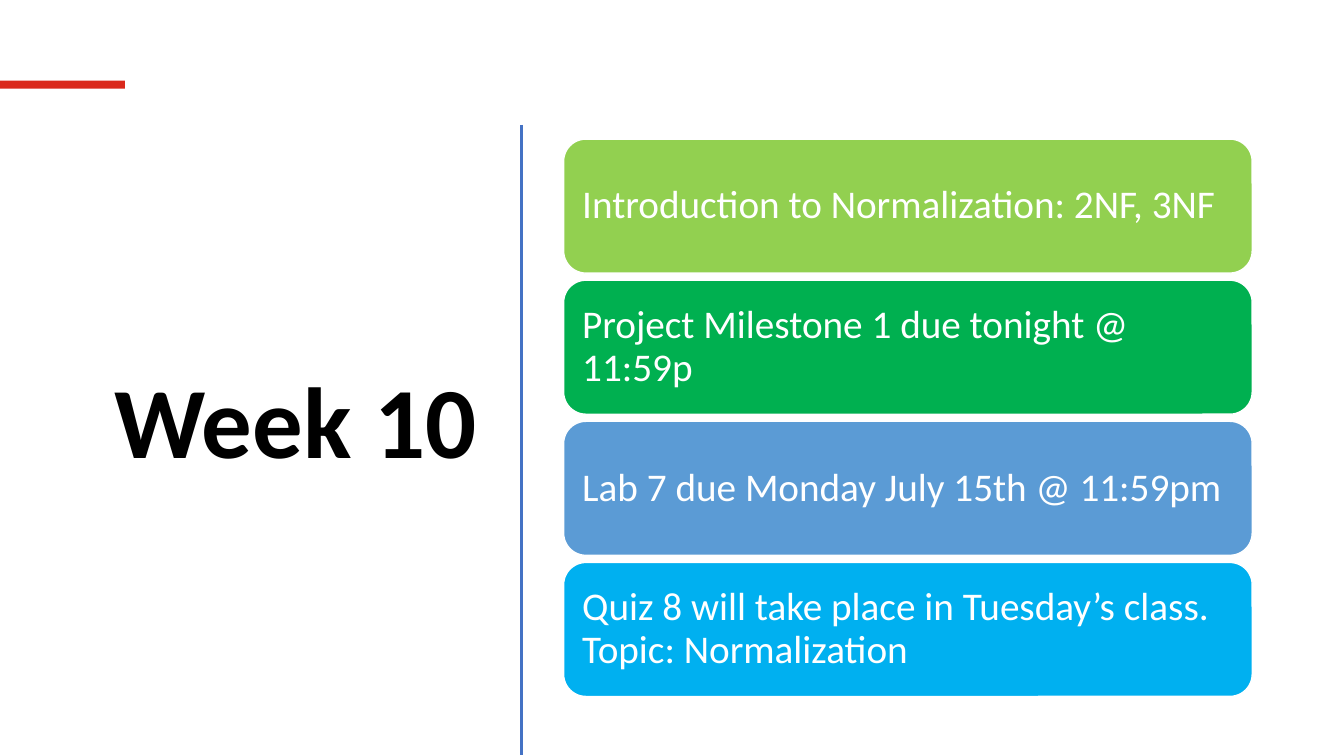
from lxml import etree
from pptx import Presentation
from pptx.dml.color import RGBColor
from pptx.enum.shapes import MSO_CONNECTOR, MSO_SHAPE
from pptx.enum.text import MSO_ANCHOR, MSO_AUTO_SIZE, PP_ALIGN
from pptx.oxml.ns import qn
from pptx.util import Inches, Pt

STRAIGHT = MSO_CONNECTOR.STRAIGHT
RECTANGLE, ROUNDED = MSO_SHAPE.RECTANGLE, MSO_SHAPE.ROUNDED_RECTANGLE
MIDDLE, NO_FIT = MSO_ANCHOR.MIDDLE, MSO_AUTO_SIZE.NONE
LEFT, RIGHT = PP_ALIGN.LEFT, PP_ALIGN.RIGHT

BLACK = RGBColor(0x00, 0x00, 0x00)
WHITE = RGBColor(0xFF, 0xFF, 0xFF)
RED = RGBColor(0xDA, 0x29, 0x1C)
RULE_BLUE = RGBColor(0x44, 0x72, 0xC4)
LIME = RGBColor(0x92, 0xD0, 0x50)
GREEN = RGBColor(0x00, 0xB0, 0x50)
BLUE = RGBColor(0x5B, 0x9B, 0xD5)
SKY = RGBColor(0x00, 0xB0, 0xF0)

AGENDA = [
    ("Introduction to Normalization: 2NF, 3NF", LIME),
    ("Project Milestone 1 due tonight @ 11:59p", GREEN),
    ("Lab 7 due Monday July 15th @ 11:59pm", BLUE),
    ("Quiz 8 will take place in Tuesday’s class. Topic: Normalization", SKY),
]
AGENDA_TOP, AGENDA_STEP = 1.38, 1.4


def add_box(preset, left, top, width, height, color):
    box = page.shapes.add_shape(
        preset, Inches(left), Inches(top), Inches(width), Inches(height))
    box.shadow.inherit = False
    box.fill.solid()
    box.fill.fore_color.rgb = color
    box.line.fill.background()
    return box


def write(frame, text, size, color, align):
    frame.word_wrap = True
    frame.auto_size = NO_FIT
    frame.vertical_anchor = MIDDLE
    frame.text = text
    para = frame.paragraphs[0]
    para.alignment = align
    para.line_spacing = 0.9
    para.font.name = "Calibri"
    para.font.size = Pt(size)
    para.font.color.rgb = color
    return para


deck = Presentation()
deck.slide_width = Inches(13.33)
deck.slide_height = Inches(7.5)
page = deck.slides.add_slide(deck.slide_layouts[5])

title = page.shapes.title
title.left, title.top = Inches(0.52), Inches(1.17)
title.width, title.height = Inches(4.31), Inches(6.11)
heading = write(title.text_frame, "Week 10", 72, BLACK, RIGHT)
heading.font.bold = True
heading.space_after = Pt(6)

divider = page.shapes.add_connector(
    STRAIGHT, Inches(5.17), Inches(1.24), Inches(5.17), Inches(7.49))
divider.line.color.rgb = RULE_BLUE
divider.line.width = Pt(2)
etree.SubElement(divider.element.spPr, qn("a:effectLst"))

for index, (text, color) in enumerate(AGENDA):
    card = add_box(ROUNDED, 5.59, AGENDA_TOP + index * AGENDA_STEP, 6.83, 1.33, color)
    card.line.color.rgb = WHITE
    card.line.width = Pt(1)
    frame = card.text_frame
    frame.margin_left = frame.margin_right = Inches(0.12)
    frame.margin_top = frame.margin_bottom = Inches(0.12)
    write(frame, text, 28, WHITE, LEFT)

add_box(RECTANGLE, 0, 0.8, 1.24, 0.08, RED)

deck.save("out.pptx")
